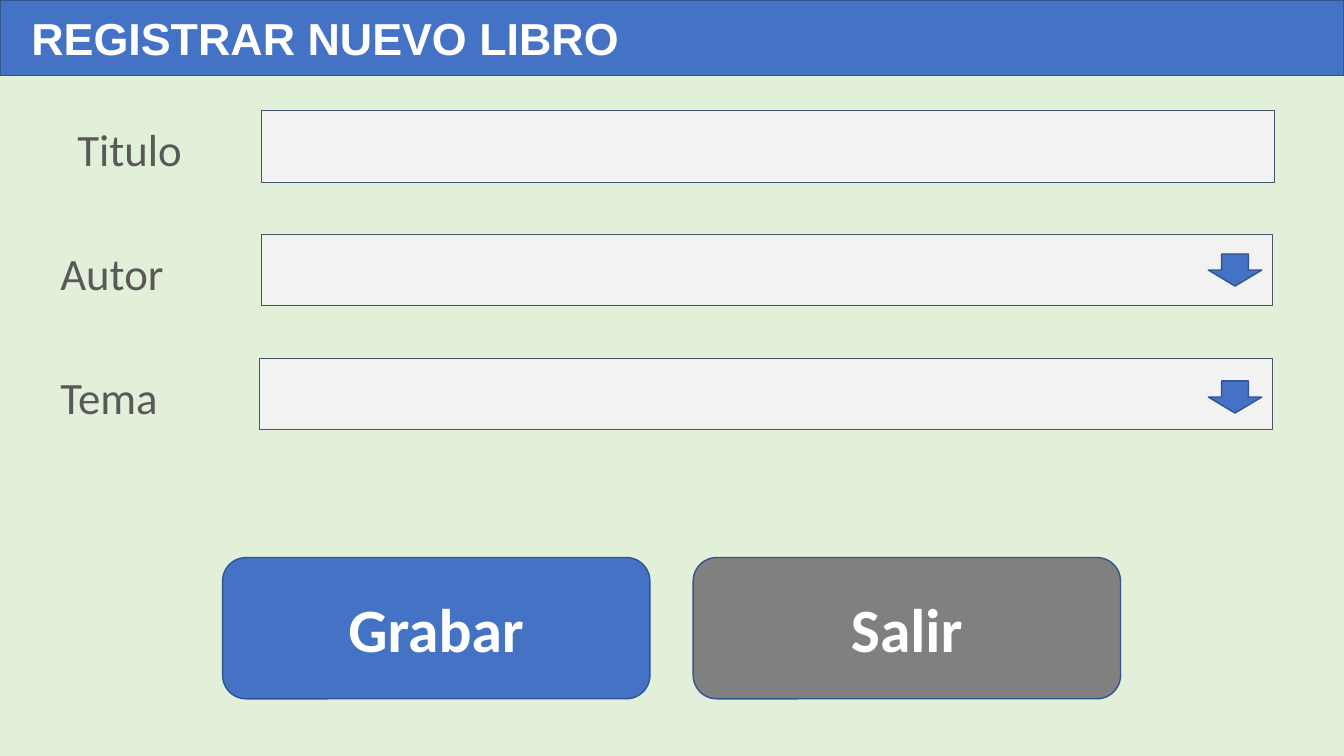
from pptx import Presentation
from pptx.dml.color import RGBColor
from pptx.enum.shapes import MSO_SHAPE as Shape
from pptx.enum.text import MSO_ANCHOR as Anchor, MSO_AUTO_SIZE as AutoSize, PP_ALIGN as Align
from pptx.util import Cm, Pt

COLORS = {
    "background": "E2F0D9",
    "blue": "4472C4",
    "blue_edge": "325491",
    "gray": "808080",
    "field": "F2F2F2",
    "field_edge": "44546A",
    "label": "595959",
    "white": "FFFFFF",
}


def paint(shape, fill, edge, width=1):
    shape.shadow.inherit = False
    shape.fill.solid()
    shape.fill.fore_color.rgb = RGBColor.from_string(COLORS[fill])
    shape.line.color.rgb = RGBColor.from_string(COLORS[edge])
    shape.line.width = Pt(width)


def write(shape, text, font, size, color, bold, align):
    paragraph = shape.text_frame.paragraphs[0]
    paragraph.text = text
    paragraph.alignment = align
    paragraph.font.name = font
    paragraph.font.size = Pt(size)
    paragraph.font.bold = bold
    paragraph.font.color.rgb = RGBColor.from_string(COLORS[color])


presentation = Presentation()
presentation.slide_width = Cm(33.87)
presentation.slide_height = Cm(19.05)
slide = presentation.slides.add_slide(presentation.slide_layouts[5])
slide.background.fill.solid()
slide.background.fill.fore_color.rgb = RGBColor.from_string(COLORS["background"])

heading = slide.shapes.title
heading.left, heading.top = Cm(0), Cm(0)
heading.width, heading.height = presentation.slide_width, Cm(1.91)
paint(heading, "blue", "blue_edge")
heading.text_frame.auto_size = AutoSize.NONE
heading.text_frame.vertical_anchor = Anchor.MIDDLE
heading.text_frame.margin_left = Cm(0.79)
write(heading, "REGISTRAR NUEVO LIBRO", "Arial", 32, "white", True, Align.LEFT)

form_rows = [
    ("Titulo", 1.7, 6.6, 25.53, None),
    ("Autor", 1.27, 6.6, 25.48, 6.4),
    ("Tema", 1.27, 6.53, 25.53, 9.6),
]
for index, (name, label_left, field_left, field_width, arrow_top) in enumerate(form_rows):
    top = 2.79 + index * 3.12
    label = slide.shapes.add_textbox(Cm(label_left), Cm(top + 0.16), Cm(4.88), Cm(1.63))
    label.text_frame.word_wrap = True
    label.text_frame.auto_size = AutoSize.SHAPE_TO_FIT_TEXT
    write(label, name, "Calibri", 32, "label", False, Align.LEFT)

    field = slide.shapes.add_shape(
        Shape.RECTANGLE, Cm(field_left), Cm(top), Cm(field_width), Cm(1.8))
    paint(field, "field", "field_edge", 0.75)

    if arrow_top:
        arrow = slide.shapes.add_shape(
            Shape.DOWN_ARROW, Cm(30.45), Cm(arrow_top), Cm(1.35), Cm(0.81))
        paint(arrow, "blue", "blue_edge")

for index, (action, fill) in enumerate([("Grabar", "blue"), ("Salir", "gray")]):
    button = slide.shapes.add_shape(
        Shape.ROUNDED_RECTANGLE, Cm(5.61 + index * 11.86), Cm(14.05), Cm(10.77), Cm(3.56))
    paint(button, fill, "blue_edge")
    button.text_frame.vertical_anchor = Anchor.MIDDLE
    write(button, action, "Calibri", 44, "white", True, Align.CENTER)

presentation.save("out.pptx")
